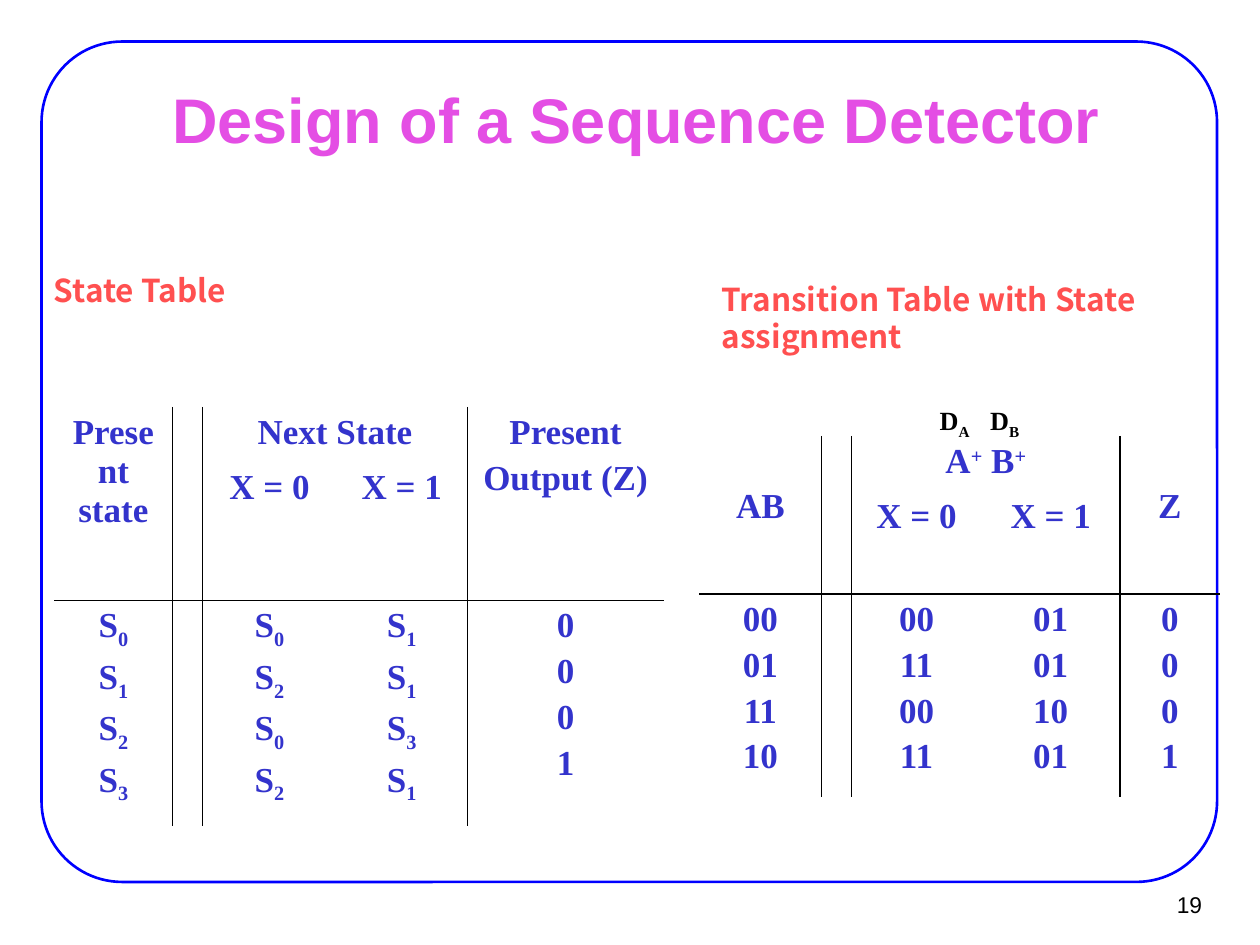
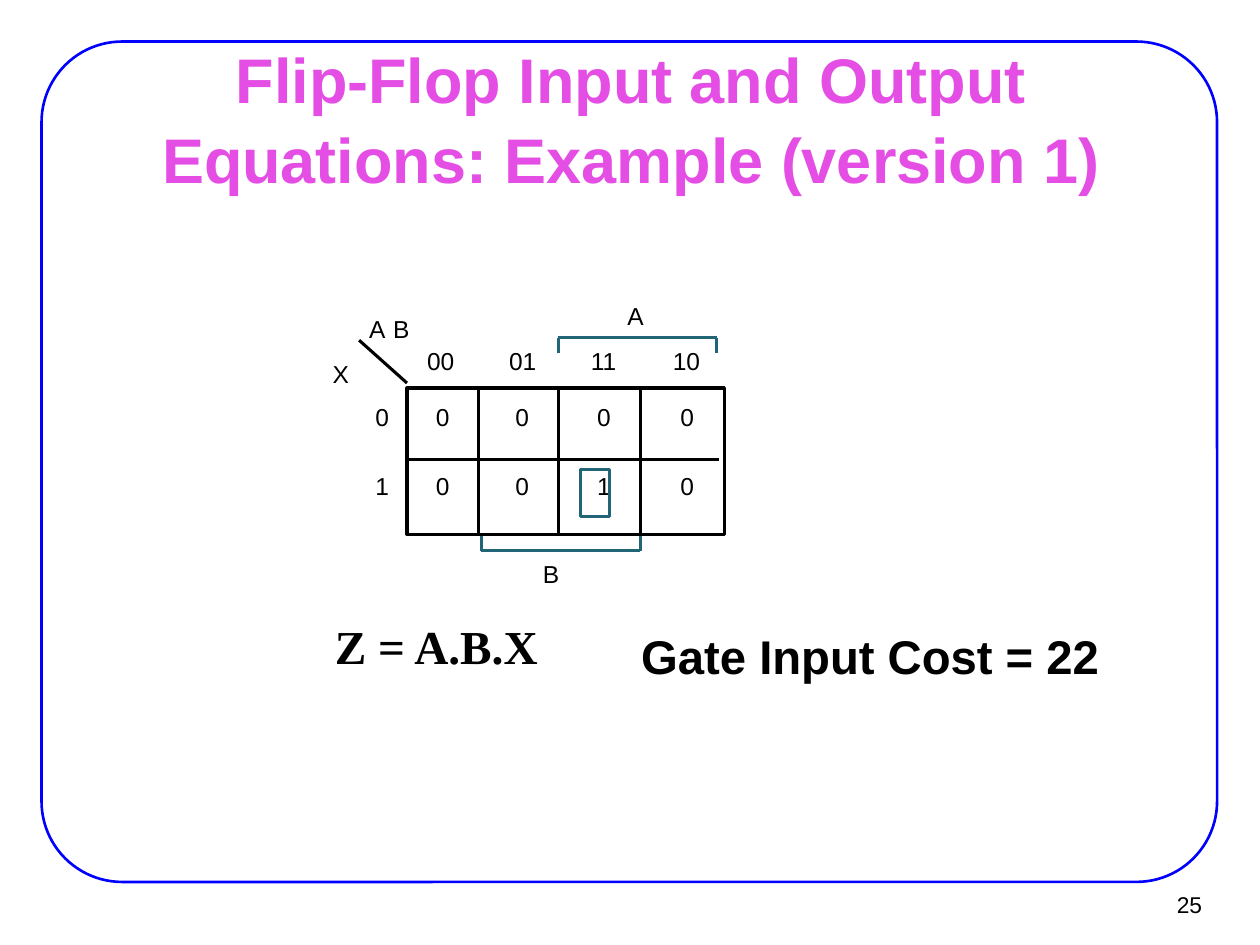
from lxml import etree
from pptx import Presentation
from pptx.dml.color import RGBColor
from pptx.enum import shapes, text
from pptx.oxml import ns
from pptx.util import Inches, Pt

HUES = {"frame": "0000FF", "title": "E44EE4", "head": "FF5050",
        "cell": "3333CC", "ink": "000000", "loop": "226577"}
SANS, SERIF, NOTO = "Arial", "Times New Roman", "Noto Sans CJK KR"
BASE = {"_": "-25000", "^": "30000"}
LEFT, MID, RIGHT = text.PP_ALIGN.LEFT, text.PP_ALIGN.CENTER, text.PP_ALIGN.RIGHT


def rgb(hue):
    return RGBColor.from_string(HUES[hue])


# Text: "|" parts runs, a leading "_" lowers a run and "^" raises it
def fill(para, line, size, font, hue="ink", bold=False, align=LEFT):
    para.alignment = align
    for bit in line.split("|"):
        run = para.add_run()
        if bit[0] in BASE:
            run._r.get_or_add_rPr().set("baseline", BASE[bit[0]])
            bit = bit[1:]
        run.text = bit
        run.font.size, run.font.name, run.font.bold = Pt(size), font, bold
        run.font.color.rgb = rgb(hue)


def write(slide, box, line, size, font, hue="ink", bold=False, align=LEFT,
          pad=(0.1, 0.05), wrap=True, anchor=text.MSO_ANCHOR.TOP):
    frame = slide.shapes.add_textbox(*map(Inches, box)).text_frame
    frame.word_wrap, frame.vertical_anchor = wrap, anchor
    frame.margin_left = frame.margin_right = Inches(pad[0])
    frame.margin_top = frame.margin_bottom = Inches(pad[1])
    fill(frame.paragraphs[0], line, size, font, hue, bold, align)
    return frame


# Outlines and lines
def outline(slide, kind, box, hue, width):
    shape = slide.shapes.add_shape(kind, *map(Inches, box))
    shape.shadow.inherit = False
    shape.fill.background()
    shape.line.color.rgb, shape.line.width = rgb(hue), Pt(width)
    return shape


def rule(slide, x1, y1, x2, y2, hue="ink"):
    line = slide.shapes.add_connector(
        shapes.MSO_CONNECTOR.STRAIGHT, *map(Inches, (x1, y1, x2, y2)))
    line.line.color.rgb, line.line.width = rgb(hue), Pt(1.75)
    etree.SubElement(line._element.spPr, ns.qn("a:effectLst"))


def bracket(slide, x1, x2, bar, tip):
    for x in (x1, x2):
        rule(slide, x, tip, x, bar, "loop")
    rule(slide, x1, bar, x2, bar, "loop")


# Shared slide: frame, title, page number
def page(deck, title, left, width, number):
    slide = deck.slides.add_slide(deck.slide_layouts[6])
    frame = outline(slide, shapes.MSO_SHAPE.ROUNDED_RECTANGLE,
                    (0.33, 0.33, 9.33, 6.67), "frame", 1.5)
    frame.adjustments[0] = 0.096
    head = write(slide, (left, 0.25, width, 1.35), title, 36, SANS, "title",
                 True, MID, (0.11, 0.06), anchor=text.MSO_ANCHOR.MIDDLE)
    head.paragraphs[0].line_spacing = 1.05
    write(slide, (9.02, 6.99, 0.61, 0.37), number, 13, SANS, align=RIGHT,
          pad=(0.09, 0.04), anchor=text.MSO_ANCHOR.MIDDLE)
    return slide


# Truth tables: rules after columns 1, 2 and 4 and under the header
def edge(cell, side, shown):
    line = etree.SubElement(cell._tc.get_or_add_tcPr(), ns.qn("a:ln" + side))
    if shown:
        line.set("w", str(Pt(1)))
        ink = etree.SubElement(line, ns.qn("a:solidFill"))
        etree.SubElement(ink, ns.qn("a:srgbClr")).set("val", HUES["ink"])
    else:
        etree.SubElement(line, ns.qn("a:noFill"))


def grid(slide, left, top, cols, rows, cells, drop):
    table = slide.shapes.add_table(
        3, 5, Inches(left), Inches(top), Inches(sum(cols)), Inches(sum(rows))).table
    table.first_row = table.horz_banding = False
    for col, width in zip(table.columns, cols):
        col.width = Inches(width)
    for row, height in zip(table.rows, rows):
        row.height = Inches(height)
    for a, b in (((0, 0), (1, 0)), ((0, 2), (0, 3)), ((0, 4), (1, 4))):
        table.cell(*a).merge(table.cell(*b))
    for r in range(3):
        for c in range(5):
            cell = table.cell(r, c)
            tall = cell.span_height if cell.is_merge_origin else 1
            wide = cell.span_width if cell.is_merge_origin else 1
            edge(cell, "L", c in (1, 2, 4))
            edge(cell, "R", c + wide in (1, 2, 4))
            edge(cell, "T", r == 2)
            edge(cell, "B", r + tall == 2)
            cell.fill.background()
            if tall == 2:
                cell.margin_top = Inches(drop)
            for i, line in enumerate(cells.get((r, c), ())):
                frame = cell.text_frame
                para = frame.add_paragraph() if i else frame.paragraphs[0]
                para.space_before = Pt(4 if i else 0)
                fill(para, line, 20, SERIF, "cell", True, MID)


def states(digits):
    return ["S|_" + d for d in digits]


def detector(deck):
    slide = page(deck, "Design of a Sequence Detector", 0.3, 9.5, "19")
    inputs = {(1, 2): ["X = 0"], (1, 3): ["X = 1"]}

    # State table
    write(slide, (0.33, 2.1, 1.83, 0.4), "State Table", 18, NOTO, "head", True)
    grid(slide, 0.43, 3.23, (0.94, 0.23, 1.06, 1.04, 1.56), (0.43, 1.1, 1.79), {
        **inputs, (0, 0): ["Present state"], (0, 2): ["Next State"],
        (0, 4): ["Present", "Output (Z)"],
        (2, 0): states("0123"), (2, 2): states("0202"),
        (2, 3): states("1131"), (2, 4): "0001"}, 0.05)

    # Transition table
    write(slide, (5.63, 2.17, 3.87, 0.7), "Transition Table with State assignment",
          18, NOTO, "head", True)
    grid(slide, 5.55, 3.46, (0.97, 0.23, 1.03, 1.1, 0.79), (0.43, 0.82, 1.61), {
        **inputs, (0, 0): ["AB"], (0, 2): ["A|^+| B|^+"], (0, 4): ["Z"],
        (2, 0): ["00", "01", "11", "10"], (2, 2): ["00", "11", "00", "11"],
        (2, 3): ["01", "01", "10", "01"], (2, 4): "0001"}, 0.41)
    for x, name in ((7.36, "A"), (7.76, "B")):
        write(slide, (x, 3.16, 0.63, 0.35), "D|_" + name, 15, SERIF, bold=True)


# Karnaugh map, placed from its top left corner
def kmap(slide, x, y):
    wide, high, mid = 2.52, 1.16, 0.57
    cuts = (0.57, 1.2, 1.85)

    def label(dx, dy, line):
        write(slide, (x + dx, y + dy, 0.3, 0.23), line, 14, SANS,
              pad=(0, 0), wrap=False)

    outline(slide, shapes.MSO_SHAPE.RECTANGLE, (x, y, wide, high), "ink", 1.75)
    rule(slide, x, y + mid, x + wide - 0.04, y + mid)
    for cut in cuts:
        rule(slide, x + cut, y, x + cut, y + high)
    rule(slide, x, y - 0.04, x - 0.38, y - 0.38)
    bracket(slide, x + cuts[0] + 0.02, x + cuts[2], y + 1.29, y + 1.17)
    bracket(slide, x + cuts[1], x + 2.46, y - 0.4, y - 0.28)

    for dx, dy, name in ((-0.3, -0.59, "A"), (-0.11, -0.59, "B"),
                         (1.75, -0.69, "A"), (1.08, 1.36, "B"),
                         (-0.59, -0.23, "X")):
        label(dx, dy, name)
    for i, code in enumerate(("00", "01", "11", "10")):
        label(0.16 + 0.65 * i, -0.33, code)
    for r, bits in enumerate(("00000", "10010")):
        for dx, bit in zip((-0.25, 0.23, 0.86, 1.51, 2.17), bits):
            label(dx, 0.11 + 0.55 * r, bit)
    outline(slide, shapes.MSO_SHAPE.RECTANGLE,
            (x + 1.38, y + 0.65, 0.23, 0.37), "loop", 1.75)


def output(deck):
    slide = page(deck, "Flip-Flop Input and Output Equations: Example (version 1)",
                 0.76, 8.5, "25")
    kmap(slide, 3.23, 3.08)
    write(slide, (2.56, 4.85, 2.3, 0.55), "Z = A.B.X", 27, SERIF, bold=True)
    write(slide, (4.99, 4.93, 3.84, 0.55), "Gate Input Cost = 22", 27, SANS,
          bold=True, wrap=False)


def main():
    deck = Presentation()
    deck.slide_width, deck.slide_height = Inches(10), Inches(7.5)
    detector(deck)
    output(deck)
    deck.save("out.pptx")


if __name__ == "__main__":
    main()
